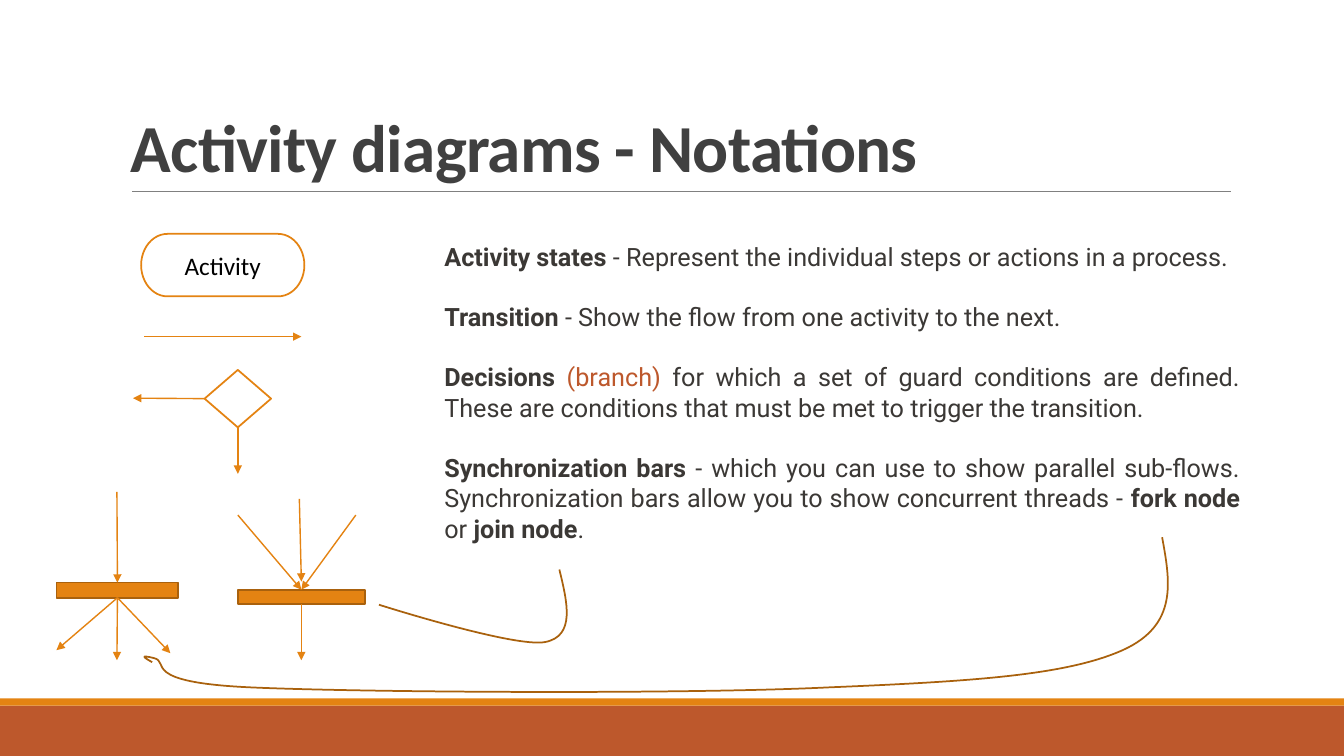
from lxml.etree import SubElement
from pptx import Presentation
from pptx.dml.color import RGBColor
from pptx.enum.shapes import MSO_CONNECTOR, MSO_SHAPE
from pptx.enum.text import MSO_ANCHOR, PP_ALIGN
from pptx.oxml.ns import qn
from pptx.util import Inches, Pt

ORANGE, BROWN, RUST = "E48312", "A9610D", "BD582C"
WHITE, INK, GREY = "FFFFFF", "3B3835", "808080"
TOP, LEFT, BOTTOM = 0, 1, 2
PAGE_WIDTH, PAGE_HEIGHT = 40 / 3, 7.5

TITLE = "Activity diagrams - Notations"
# Each paragraph is a list of (text, bold, colour)
NOTES = [
    [("Activity states ", True, INK),
     ("- Represent the individual steps or actions in a process. ", False, INK)],
    [("Transition", True, INK),
     (" - Show the flow from one activity to the next.", False, INK)],
    [("Decisions ", True, INK), ("(branch)", False, RUST),
     (" for which a set of guard conditions are defined. These are conditions "
      "that must be met to trigger the transition. ", False, INK)],
    [("Synchronization bars ", True, INK),
     ("- which you can use to show parallel sub-flows. Synchronization bars allow "
      "you to show concurrent threads - ", False, INK),
     ("fork node ", True, INK), ("or ", False, INK),
     ("join node", True, INK), (".", False, INK)],
]
# name: preset, (left, top, width, height), fill, line colour
SYMBOLS = {
    "footer": (MSO_SHAPE.RECTANGLE, (0, 7, PAGE_WIDTH, 0.5), RUST, None),
    "footer edge": (MSO_SHAPE.RECTANGLE, (0, 6.93, PAGE_WIDTH, 0.07), ORANGE, None),
    "activity": (MSO_SHAPE.FLOWCHART_TERMINATOR, (1.4, 2.32, 1.62, 0.62), WHITE, ORANGE),
    "decision": (MSO_SHAPE.FLOWCHART_DECISION, (2.03, 3.67, 0.66, 0.57), WHITE, ORANGE),
    "fork": (MSO_SHAPE.RECTANGLE, (0.56, 5.78, 1.21, 0.15), ORANGE, BROWN),
    "join": (MSO_SHAPE.RECTANGLE, (2.36, 5.85, 1.26, 0.14), ORANGE, BROWN),
}
# Each end is a point, or a symbol name with its side
ARROWS = [
    ((1.43, 3.34), (2.99, 3.34)),
    (("decision", LEFT), (1.32, 3.95)),
    (("decision", BOTTOM), (2.36, 4.7)),
    ((1.16, 4.88), ("fork", TOP)),
    (("fork", BOTTOM), (0.56, 6.45)),
    (("fork", BOTTOM), (1.69, 6.48)),
    (("fork", BOTTOM), (1.16, 6.55)),
    (("join", BOTTOM), (2.99, 6.55)),
    ((2.36, 5.11), ("join", TOP)),
    ((3.53, 5.11), ("join", TOP)),
    ((2.97, 4.95), (2.99, 5.77)),
]
# Bounds, then the start point and three control points for each Bezier piece
CURVES = [
    ((1.43, 5.33, 10.16, 1.53),
     [(11.53, 5.33), (11.61, 5.77), (11.69, 6.2), (11.14, 6.45),
      (10.58, 6.7), (9.66, 6.76), (8.22, 6.82),
      (6.77, 6.89), (3.6, 6.87), (2.49, 6.82),
      (1.38, 6.77), (1.69, 6.57), (1.53, 6.53),
      (1.37, 6.49), (1.44, 6.53), (1.51, 6.57)]),
    ((3.76, 5.65, 1.86, 0.73),
     [(5.55, 5.65), (5.63, 5.98), (5.71, 6.31), (5.41, 6.37),
      (5.11, 6.43), (3.76, 6), (3.76, 6)]),
]


def color(value):
    return RGBColor.from_string(value)


def set_line(shape, value, width):
    shape.line.color.rgb = color(value)
    shape.line.width = Pt(width)


def write(frame, paragraphs, font="Calibri", size=18, align=PP_ALIGN.LEFT,
          anchor=MSO_ANCHOR.TOP, gap=0, line_spacing=None, tracking=None):
    """Fill a text frame; gap is the space between paragraphs in points."""
    frame.word_wrap = True
    frame.vertical_anchor = anchor
    for index, spans in enumerate(paragraphs):
        para = frame.add_paragraph() if index else frame.paragraphs[0]
        para.alignment = align
        para.space_before = Pt(gap if index else 0)
        if line_spacing:
            para.line_spacing = line_spacing
        for text, bold, value in spans:
            span = para.add_run()
            span.text = text
            span.font.name, span.font.size, span.font.bold = font, Pt(size), bold
            span.font.color.rgb = color(value)
            if tracking:
                span.font._element.set("spc", str(int(tracking * 100)))


def add_text(page, area, paragraphs, **style):
    box = page.shapes.add_textbox(*map(Inches, area))
    write(box.text_frame, paragraphs, **style)


def add_symbol(page, preset, area, fill, line):
    shape = page.shapes.add_shape(preset, *map(Inches, area))
    shape.shadow.inherit = False
    shape.fill.solid()
    shape.fill.fore_color.rgb = color(fill)
    if line:
        set_line(shape, line, 1.25)
    else:
        shape.line.fill.background()
    return shape


def add_line(page, start, end, symbols, value=ORANGE, width=1, arrow=True):
    connector = page.shapes.add_connector(MSO_CONNECTOR.STRAIGHT, 0, 0, 0, 0)
    if start[0] in symbols:
        connector.begin_connect(symbols[start[0]], start[1])
    else:
        connector.begin_x, connector.begin_y = map(Inches, start)
    if end[0] in symbols:
        connector.end_connect(symbols[end[0]], end[1])
    else:
        connector.end_x, connector.end_y = map(Inches, end)
    set_line(connector, value, width)
    if arrow:
        SubElement(connector.line._get_or_add_ln(), qn("a:tailEnd"), type="triangle")
    SubElement(connector._element.spPr, qn("a:effectLst"))


def add_curve(page, area, points):
    """Draw a freeform whose outline is made of cubic Bezier pieces."""
    left, top, width, height = map(Inches, area)
    places = [(Inches(x), Inches(y)) for x, y in points]
    builder = page.shapes.build_freeform(*places[0])
    builder.add_line_segments(places[3::3], close=False)
    curve = builder.convert_to_shape()
    curve.left, curve.top, curve.width, curve.height = left, top, width, height
    outline = next(curve._element.iter(qn("a:path")))
    for part in list(outline):
        outline.remove(part)
    outline.set("w", str(width))
    outline.set("h", str(height))
    pieces = [places[first:first + 3] for first in range(1, len(places), 3)]
    for tag, group in [("a:moveTo", places[:1])] + [("a:cubicBezTo", p) for p in pieces]:
        part = SubElement(outline, qn(tag))
        for x, y in group:
            SubElement(part, qn("a:pt"), x=str(x - left), y=str(y - top))
    curve.shadow.inherit = False
    curve.fill.background()
    set_line(curve, BROWN, 1.25)


def main():
    deck = Presentation()
    deck.slide_width, deck.slide_height = Inches(PAGE_WIDTH), Inches(PAGE_HEIGHT)
    page = deck.slides.add_slide(deck.slide_layouts[6])
    symbols = {name: add_symbol(page, *look) for name, look in SYMBOLS.items()}
    write(symbols["activity"].text_frame, [[("Activity", False, "000000")]],
          align=PP_ALIGN.CENTER, anchor=MSO_ANCHOR.MIDDLE)
    add_line(page, (1.31, 1.9), (12.21, 1.9), symbols, GREY, 0.5, arrow=False)
    add_text(page, (1.2, 0.31, 11, 1.59), [[(TITLE, True, "404040")]], size=48,
             anchor=MSO_ANCHOR.BOTTOM, line_spacing=0.85, tracking=-0.5)
    add_text(page, (4.31, 2.34, 8.09, 3.43), NOTES, font="Roboto",
             align=PP_ALIGN.JUSTIFY, gap=21.6)
    for start, end in ARROWS:
        add_line(page, start, end, symbols)
    for area, points in CURVES:
        add_curve(page, area, points)
    deck.save("out.pptx")


if __name__ == "__main__":
    main()
